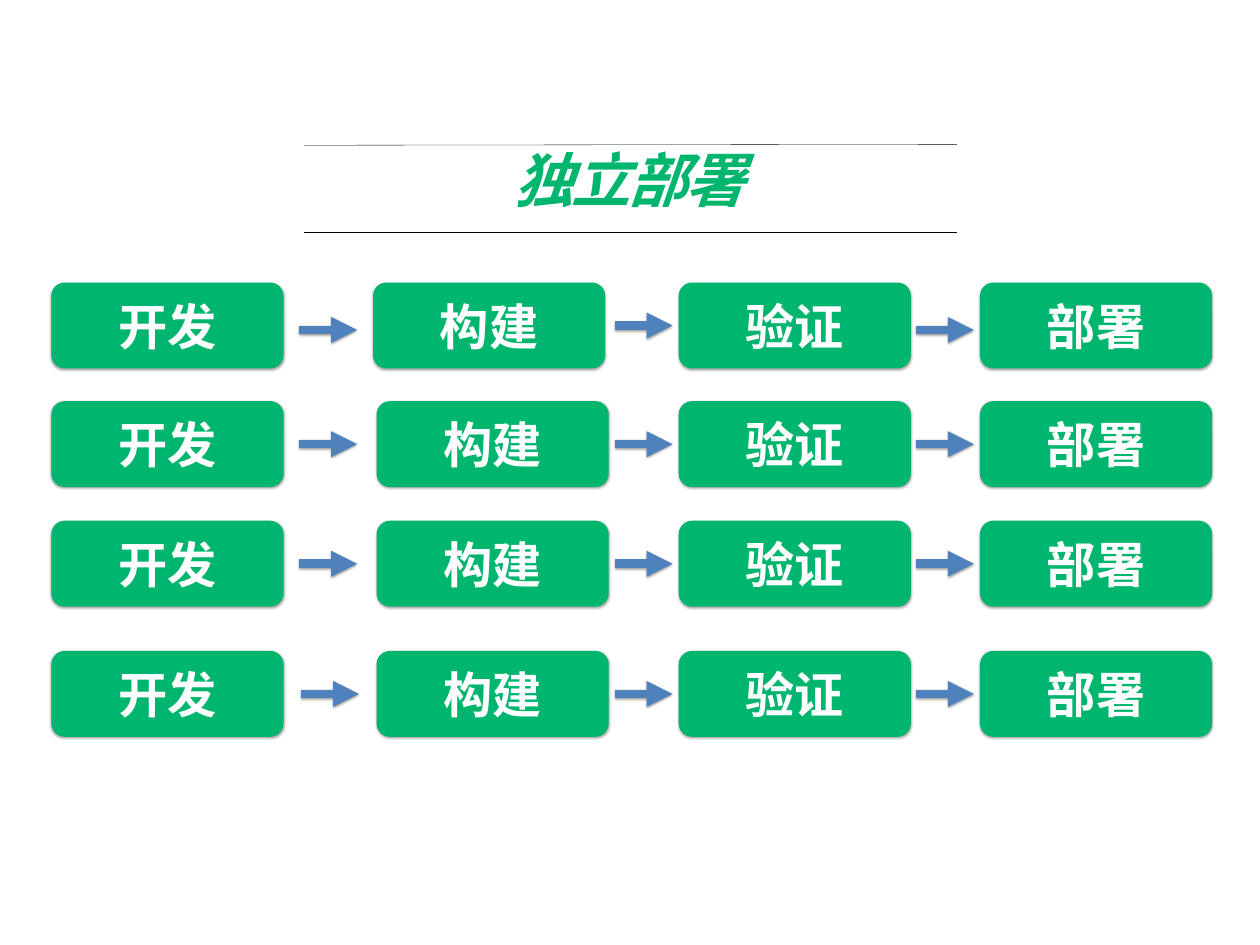
from pptx import Presentation
from pptx.dml.color import RGBColor
from pptx.enum import shapes, text
from pptx.oxml import parse_xml
from pptx.oxml.ns import nsdecls
from pptx.util import Inches, Pt

# Content: every service runs its own pipeline
TITLE = "独立部署"
STAGES = ["开发", "构建", "验证", "部署"]

# Layout in inches
STAGE_LEFTS = [0.58, 4.25, 7.66, 11.06]
ROW_TOPS = [3.19, 4.53, 5.88, 7.35]
STAGE_WIDTH, STAGE_HEIGHT = 2.62, 0.97
ARROW_LEFTS = [3.38, 6.94, 10.34]
ARROW_LENGTH = 0.65
RULE_LEFT, RULE_RIGHT = 3.43, 10.8
RULES = [(2.62, 2.62), (1.64, 1.63)]  # start and end height

# Small offsets, keyed by (row, column)
STAGE_SHIFT = {(0, 1): -0.04}
ARROW_SHIFT = {(0, 0): (0, 0.05), (0, 2): (0, 0.05), (3, 0): (0.02, 0)}

THEME = {
    "green": RGBColor.from_string("00B56E"),
    "blue": RGBColor.from_string("4F81BD"),
    "white": RGBColor.from_string("FFFFFF"),
    "black": RGBColor.from_string("000000"),
    "title_font": "Roboto",
    "stage_font": "Calibri",
    "title_size": Pt(48),
    "stage_size": Pt(40),
    "rule_width": Pt(0.25),
    "arrow_width": Pt(7),
}


def set_effects(part, shadow_opacity=0):
    """Give a part a soft shadow below it, or none."""
    shadow = ""
    if shadow_opacity:
        shadow = (
            f'<a:outerShdw blurRad="{Pt(2)}" dist="{Pt(1)}" dir="5400000" rotWithShape="0">'
            f'<a:srgbClr val="{THEME["black"]}"><a:alpha val="{shadow_opacity * 1000}"/>'
            "</a:srgbClr></a:outerShdw>"
        )
    part._element.spPr.append(
        parse_xml(f'<a:effectLst {nsdecls("a")}>{shadow}</a:effectLst>'))


def set_margins(frame, margin):
    frame.margin_left = frame.margin_right = margin
    frame.margin_top = frame.margin_bottom = margin


def style_text(paragraph, font, size, color):
    paragraph.alignment = text.PP_ALIGN.CENTER
    paragraph.font.name = font
    paragraph.font.size = size
    paragraph.font.bold = True
    paragraph.font.color.rgb = color


def add_line(slide, start, end, color, width):
    line = slide.shapes.add_connector(
        shapes.MSO_CONNECTOR.STRAIGHT, *map(Inches, start + end))
    line.line.color.rgb = color
    line.line.width = width
    return line


def add_title(slide):
    title = slide.shapes.title
    title.left, title.top = Inches(3.43), Inches(1.72)
    title.width, title.height = Inches(7.35), Inches(0.8)
    frame = title.text_frame
    frame.text = TITLE
    frame.auto_size = text.MSO_AUTO_SIZE.NONE
    frame.vertical_anchor = text.MSO_ANCHOR.MIDDLE
    set_margins(frame, 0)
    paragraph = frame.paragraphs[0]
    paragraph.line_spacing = 0.7
    style_text(paragraph, THEME["title_font"], THEME["title_size"], THEME["green"])
    paragraph.font.italic = True
    paragraph.runs[0]._r.get_or_add_rPr().set("spc", "-190")


def add_stage(slide, label, left, top):
    stage = slide.shapes.add_shape(
        shapes.MSO_SHAPE.ROUNDED_RECTANGLE,
        *map(Inches, (left, top, STAGE_WIDTH, STAGE_HEIGHT)))
    stage.adjustments[0] = 0.156
    stage.fill.solid()
    stage.fill.fore_color.rgb = THEME["green"]
    stage.line.fill.background()
    set_effects(stage, 35)
    frame = stage.text_frame
    frame.text = label
    frame.vertical_anchor = text.MSO_ANCHOR.MIDDLE
    set_margins(frame, Inches(0.05))
    style_text(frame.paragraphs[0], THEME["stage_font"], THEME["stage_size"], THEME["white"])


def add_arrow(slide, left, middle):
    arrow = add_line(slide, (left, middle), (left + ARROW_LENGTH, middle),
                     THEME["blue"], THEME["arrow_width"])
    arrow.line._get_or_add_ln().append(
        parse_xml(f'<a:tailEnd {nsdecls("a")} type="triangle"/>'))
    set_effects(arrow, 38)


def main():
    deck = Presentation()
    deck.slide_width, deck.slide_height = Inches(14.22), Inches(10.67)
    slide = deck.slides.add_slide(deck.slide_layouts[5])

    # Title between two thin rules
    for start, end in RULES:
        rule = add_line(slide, (RULE_LEFT, start), (RULE_RIGHT, end),
                        THEME["black"], THEME["rule_width"])
        set_effects(rule)
    add_title(slide)

    # One pipeline per row
    for row, top in enumerate(ROW_TOPS):
        for column, (label, left) in enumerate(zip(STAGES, STAGE_LEFTS)):
            add_stage(slide, label, left + STAGE_SHIFT.get((row, column), 0), top)
        for column, left in enumerate(ARROW_LEFTS):
            right, down = ARROW_SHIFT.get((row, column), (0, 0))
            add_arrow(slide, left + right, top + STAGE_HEIGHT / 2 + down)

    deck.save("out.pptx")


if __name__ == "__main__":
    main()
